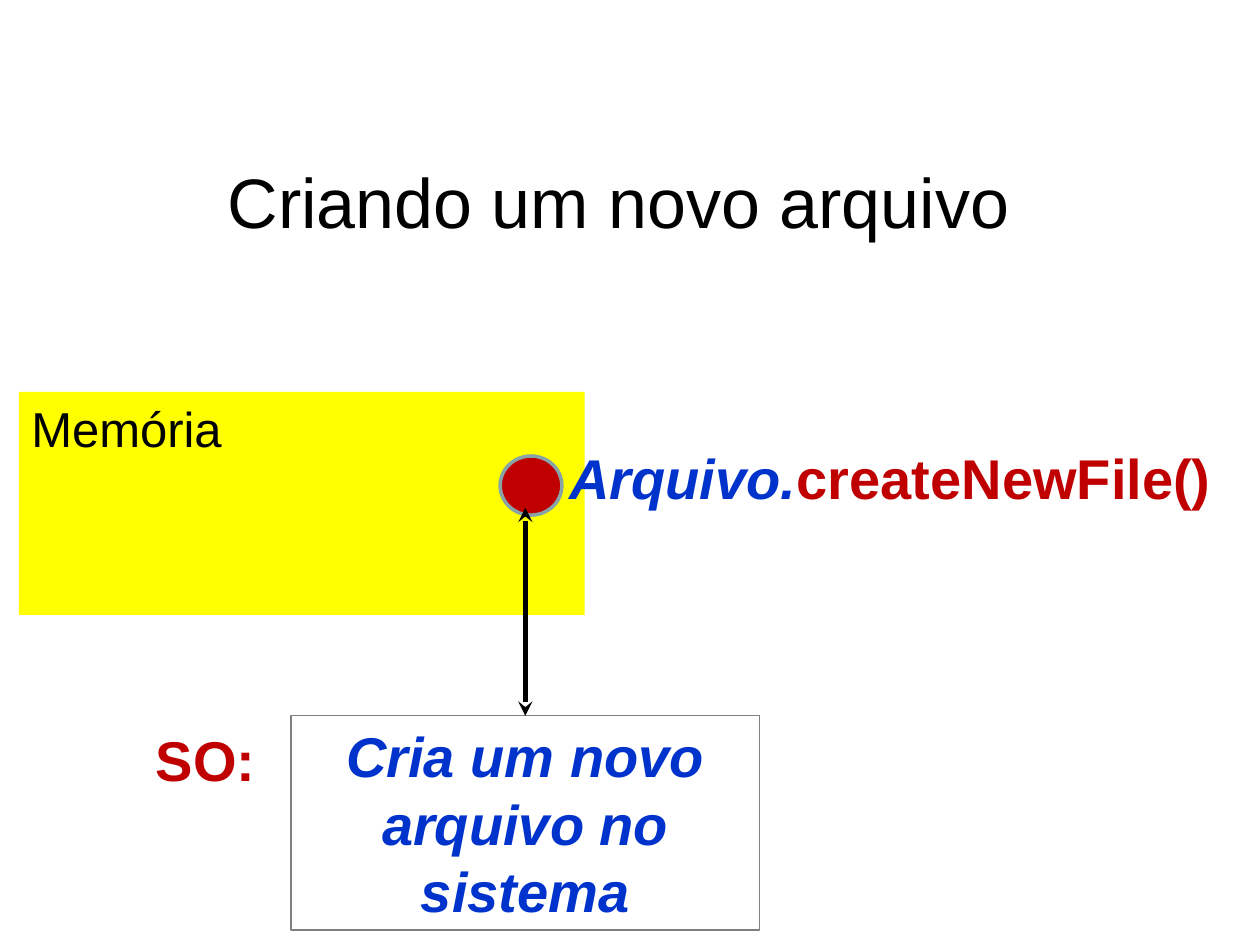
from lxml.etree import SubElement
from pptx import Presentation
from pptx.dml.color import RGBColor
from pptx.enum.shapes import MSO_CONNECTOR as CONN, MSO_SHAPE as SHAPE
from pptx.enum.text import MSO_ANCHOR as ANCHOR, PP_ALIGN as ALIGN
from pptx.oxml.ns import qn
from pptx.util import Pt

COLORS = {"black": "000000", "white": "FFFFFF", "yellow": "FFFF00", "red": "C00000",
          "blue": "0033CC", "ring": "89A4A7", "gray": "808080"}

TITLE = [("Criando um novo arquivo", "black")]
MEMORY = [("Memória", "black")]
CALL = [("Arquivo.", "blue"), ("createNewFile()", "red")]
SYSTEM = [("Cria um novo arquivo no sistema", "blue")]
SYSTEM_LABEL = [("SO:", "red")]

MEMORY_BOX = (10.8, 224, 323.3, 127.4)
OBJECT_DOT = (285.8, 260.6, 35.3, 33.8)
SYSTEM_BOX = (166.3, 409, 267.8, 122.4)
ARROW_TOP = 290.2


def rgb(name):
    return RGBColor.from_string(COLORS[name])


def add_shape(slide, kind, box, fill=None, line=None, width=1):
    s = slide.shapes.add_shape(kind, *map(Pt, box))
    s.shadow.inherit = False
    if fill:
        s.fill.solid()
        s.fill.fore_color.rgb = rgb(fill)
    else:
        s.fill.background()
    if line:
        s.line.color.rgb = rgb(line)
        s.line.width = Pt(width)
    else:
        s.line.fill.background()
    return s


def write(s, runs, size=32, bold=False, align=ALIGN.LEFT, spacing=None):
    tf = s.text_frame
    tf.word_wrap = True
    tf.vertical_anchor = ANCHOR.TOP
    tf.margin_left = tf.margin_right = Pt(7.2)
    tf.margin_top = tf.margin_bottom = Pt(3.6)
    p = tf.paragraphs[0]
    p.alignment = align
    if spacing:
        p.line_spacing = Pt(spacing)
    for text, color in runs:
        r = p.add_run()
        r.text = text
        r.font.name = "Arial"
        r.font.size = Pt(size)
        r.font.bold = bold
        r.font.italic = color == "blue"
        r.font.color.rgb = rgb(color)


def add_text(slide, box, runs, **fmt):
    write(slide.shapes.add_textbox(*map(Pt, box)), runs, **fmt)


def add_double_arrow(slide, start, x, end_y):
    left, top, width, _ = start[1]
    c = slide.shapes.add_connector(CONN.STRAIGHT, Pt(left + width / 2), Pt(top), Pt(x), Pt(end_y))
    c.begin_connect(start[0], 0)
    c.line.color.rgb = rgb("black")
    c.line.width = Pt(2.75)
    ln = c.line._get_or_add_ln()
    for end in ("a:headEnd", "a:tailEnd"):
        SubElement(ln, qn(end), type="stealth")
    SubElement(c._element.spPr, qn("a:effectLst"))


def main():
    prs = Presentation()
    prs.slide_width, prs.slide_height = Pt(720), Pt(540)
    slide = prs.slides.add_slide(prs.slide_layouts[6])
    slide.background.fill.solid()
    slide.background.fill.fore_color.rgb = rgb("white")

    add_text(slide, (123, 87, 480, 53), TITLE, size=40)
    memory = add_shape(slide, SHAPE.RECTANGLE, MEMORY_BOX, fill="yellow")
    write(memory, MEMORY, size=28, spacing=33.6)
    add_text(slide, (318.2, 250, 401.8, 46), CALL, bold=True, spacing=38.4)
    add_shape(slide, SHAPE.OVAL, OBJECT_DOT, fill="red", line="ring", width=2)
    system = add_shape(slide, SHAPE.RECTANGLE, SYSTEM_BOX, line="gray", width=0.75)
    write(system, SYSTEM, bold=True, align=ALIGN.CENTER, spacing=38.4)
    add_double_arrow(slide, (system, SYSTEM_BOX), SYSTEM_BOX[0] + SYSTEM_BOX[2] / 2, ARROW_TOP)
    add_text(slide, (82, 411, 80, 46), SYSTEM_LABEL, bold=True, spacing=38.4)

    prs.save("out.pptx")


if __name__ == "__main__":
    main()
